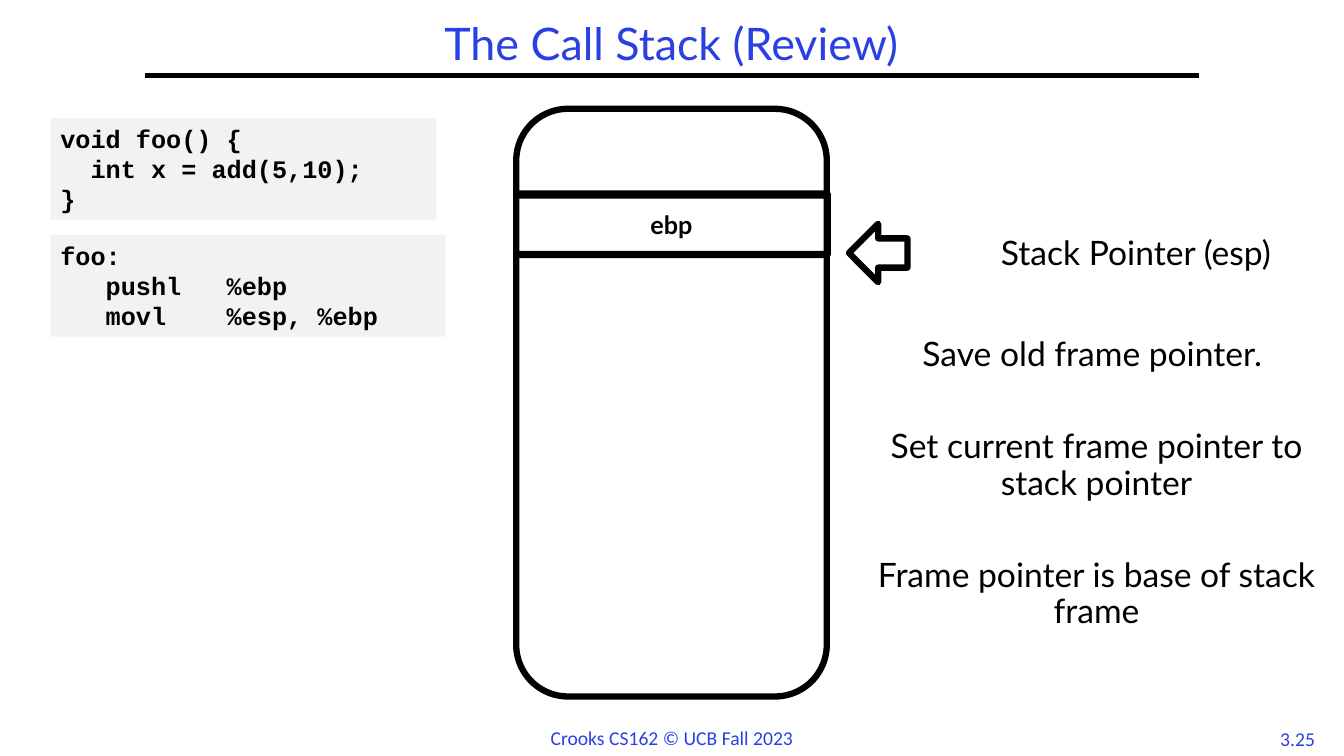
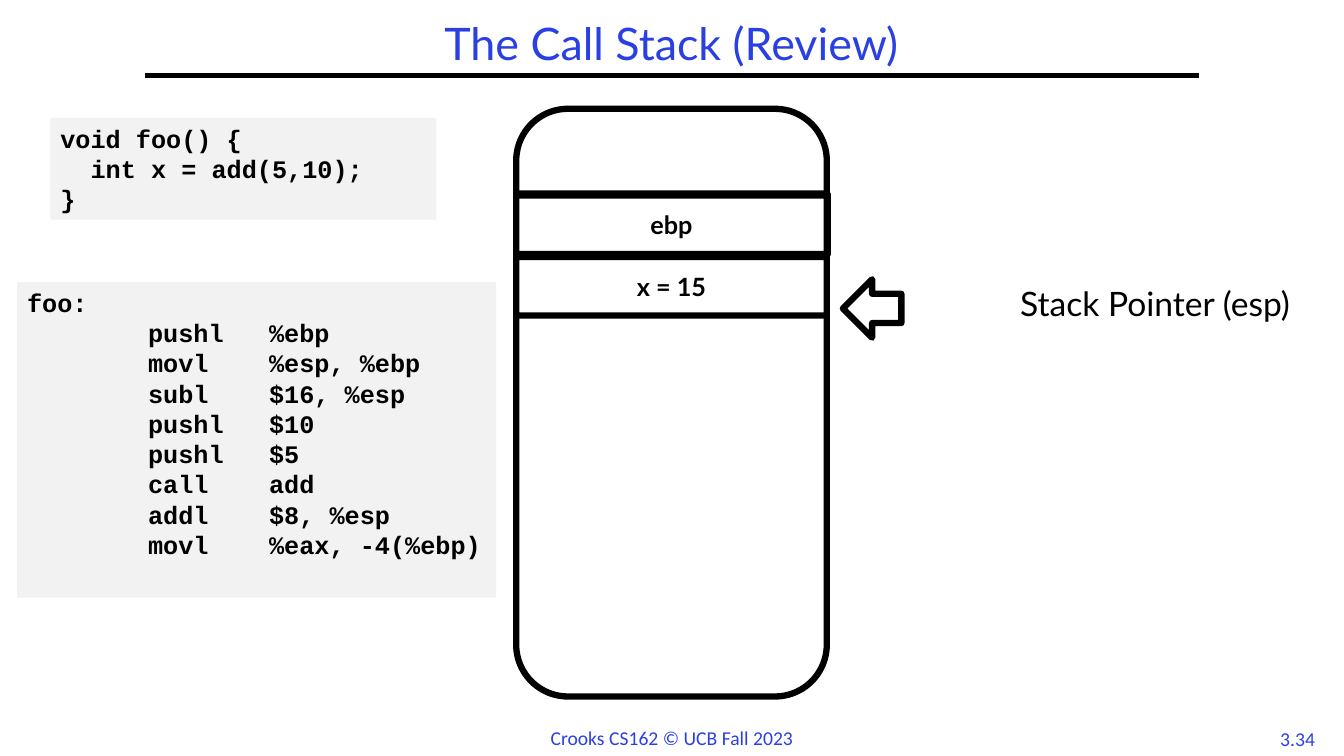
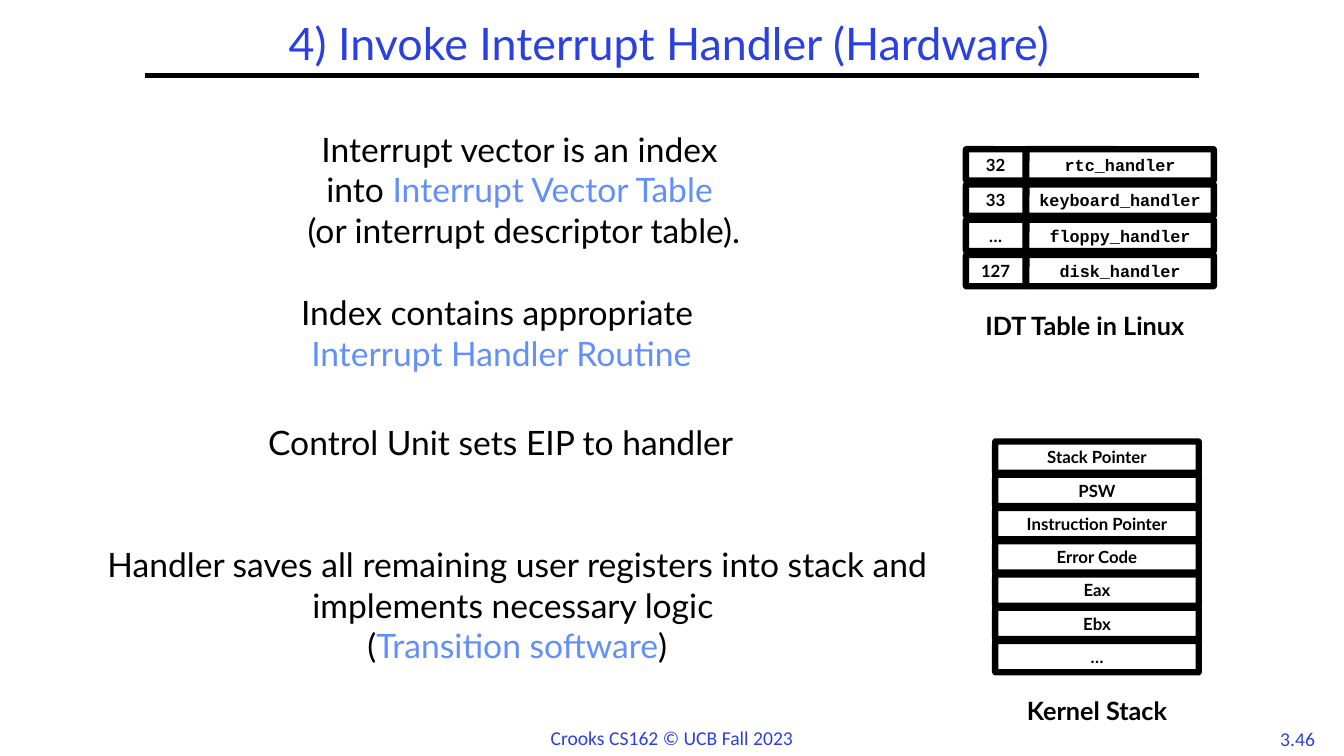
from dataclasses import dataclass

from lxml import etree
from pptx import Presentation
from pptx.dml.color import RGBColor
from pptx.enum import shapes, text
from pptx.oxml import ns
from pptx.util import Inches, Pt

BLUE, SKY, BLACK, WHITE, GREY = "2A40E2", "618FFD", "000000", "FFFFFF", "F2F2F2"
SANS, MONO, FOOTER_FONT = "Lato", "Courier New", "Calibri"
CENTER, LEFT = text.PP_ALIGN.CENTER, text.PP_ALIGN.LEFT
TOP, MIDDLE = text.MSO_ANCHOR.TOP, text.MSO_ANCHOR.MIDDLE
SHAPE = shapes.MSO_SHAPE
CELL_HEIGHT = 0.31
FOO_SOURCE = ["void foo() {", "  int x = add(5,10);", "}"]


@dataclass(frozen=True)
class Area:
    left: float
    top: float
    width: float
    height: float

    def lengths(self) -> list:
        return [Inches(n) for n in (self.left, self.top, self.width, self.height)]


@dataclass(frozen=True)
class Style:
    size: float = 24
    font: str = SANS
    color: str = BLACK
    bold: bool = False
    align: int = CENTER
    anchor: int = TOP
    wrap: bool = True
    spacing: float = 1.0
    gap: float = 0


@dataclass(frozen=True)
class Span:
    words: str
    color: str


BODY = Style()
NOTE = Style(spacing=0.9, gap=40)
TITLE = Style(size=32, color=BLUE, anchor=MIDDLE, spacing=0.9)
FOOTER = Style(size=14, font=FOOTER_FONT, color=BLUE, wrap=False)
CODE = Style(size=18, font=MONO, bold=True, align=LEFT)
FRAME = Style(size=18, bold=True, anchor=MIDDLE)
CAPTION = Style(size=18, bold=True)
CELL = Style(size=12, bold=True, anchor=MIDDLE)
HANDLER = Style(size=12, font=MONO, bold=True, anchor=MIDDLE)


def rgb(color: str) -> RGBColor:
    return RGBColor.from_string(color)


def apply(target, values: dict) -> None:
    for name, value in values.items():
        setattr(target, name, value)


def write(box, lines: list, style: Style) -> None:
    """Fill a box, one paragraph a line; a line is a string or a list of strings and spans."""
    frame = box.text_frame
    apply(frame, {"word_wrap": style.wrap, "vertical_anchor": style.anchor})
    for index, line in enumerate(lines):
        para = frame.add_paragraph() if index else frame.paragraphs[0]
        apply(para, {"alignment": style.align, "line_spacing": style.spacing})
        if index and style.gap:
            para.space_before = Pt(style.gap)
        for part in [line] if isinstance(line, str) else line:
            span = part if isinstance(part, Span) else Span(part, style.color)
            run = para.add_run()
            run.text = span.words
            apply(run.font, {"size": Pt(style.size), "name": style.font, "bold": style.bold})
            run.font.color.rgb = rgb(span.color)


def add_text(page, area: Area, lines: list, style: Style = BODY) -> None:
    write(page.shapes.add_textbox(*area.lengths()), lines, style)


def add_filled(page, kind, area: Area, fill: str = WHITE, outlined: bool = True):
    shape = page.shapes.add_shape(kind, *area.lengths())
    shape.shadow.inherit = False
    shape.fill.solid()
    shape.fill.fore_color.rgb = rgb(fill)
    if outlined:
        shape.line.width = Pt(4.5)
        shape.line.color.rgb = rgb(BLACK)
    else:
        shape.line.fill.background()
    return shape


def add_code(page, area: Area, lines: list) -> None:
    write(add_filled(page, SHAPE.RECTANGLE, area, GREY, outlined=False), lines, CODE)


def add_cell(page, area: Area, label: str = "", style: Style = CELL) -> None:
    cell = add_filled(page, SHAPE.ROUNDED_RECTANGLE, area)
    cell.adjustments[0] = 0.02
    if label:
        write(cell, [label], style)


def add_column(page, first: Area, pitch: float, labels: list, style: Style = CELL) -> None:
    for row, label in enumerate(labels):
        area = Area(first.left, first.top + row * pitch, first.width, first.height)
        add_cell(page, area, label, style)


def add_page(deck, title: str, number: str, title_area: Area = Area(1.44, 0.17, 10.44, 0.58)):
    """Add a slide with the shared title, rule and footer."""
    page = deck.slides.add_slide(deck.slide_layouts[6])
    add_text(page, Area(12.58, 7.16, 0.58, 0.33), [number], FOOTER)
    rule = page.shapes.add_connector(shapes.MSO_CONNECTOR.STRAIGHT, Inches(1.44), Inches(0.75),
                                     Inches(11.89), Inches(0.75))
    rule.line.width = Pt(3)
    rule.line.color.rgb = rgb(BLACK)
    etree.SubElement(rule._element.spPr, ns.qn("a:effectLst"))
    add_text(page, Area(5.35, 7.15, 2.63, 0.34), ["Crooks CS162 © UCB Fall 2023"], FOOTER)
    add_text(page, title_area, [title], TITLE)
    return page


def add_stack_page(deck, number: str, frames: list, arrow: Area, pointer: Area):
    """Add a call stack slide whose frames run downwards from the stack's top."""
    page = add_page(deck, "The Call Stack (Review)", number)
    add_code(page, Area(0.5, 1.17, 3.83, 1.01), FOO_SOURCE)
    add_filled(page, SHAPE.ROUNDED_RECTANGLE, Area(5.12, 1.08, 3.08, 5.83))
    add_cell(page, Area(5.13, 1.92, 3.08, 0.61))
    add_column(page, Area(5.12, 1.94, 3.08, 0.58), 0.61, frames, FRAME)
    add_filled(page, SHAPE.LEFT_ARROW, arrow)
    add_text(page, pointer, ["Stack Pointer (esp)"], NOTE)
    return page


def add_frame_pointer_page(deck) -> None:
    page = add_stack_page(deck, "3.25", ["ebp"], Area(8.42, 2.22, 0.58, 0.58),
                          Area(8.89, 2.3, 4.75, 0.86))
    add_code(page, Area(0.5, 2.33, 3.92, 1.01),
             ["foo:", "   pushl   %ebp", "   movl    %esp, %ebp"])
    add_text(page, Area(8.5, 3.3, 4.75, 2.98),
             ["Save old frame pointer. ", "Set current frame pointer to stack pointer",
              "Frame pointer is base of stack frame"], NOTE)


def add_local_variable_page(deck) -> None:
    page = add_stack_page(deck, "3.34", ["ebp", "x = 15"], Area(8.36, 2.77, 0.58, 0.58),
                          Area(9.08, 2.8, 4.75, 0.86))
    add_code(page, Area(0.17, 2.8, 4.75, 3.13), [
        "foo:",
        "        pushl   %ebp",
        "        movl    %esp, %ebp",
        "        subl    $16, %esp",
        "        pushl   $10",
        "        pushl   $5",
        "        call    add",
        "        addl    $8, %esp",
        "        movl    %eax, -4(%ebp)",
    ])


def add_interrupt_page(deck) -> None:
    page = add_page(deck, "4) Invoke Interrupt Handler (Hardware)", "3.46",
                    Area(0, 0.17, 13.27, 0.58))
    add_text(page, Area(0.49, 1.23, 9.41, 1.31), [
        "Interrupt vector is an index ",
        ["into ", Span("Interrupt Vector Table ", SKY)],
        "(or interrupt descriptor table).",
    ])
    add_text(page, Area(1.43, 2.85, 7, 0.91), [
        "Index contains appropriate",
        [" ", Span("Interrupt Handler Routine", SKY)],
    ])
    add_text(page, Area(0.58, 4.14, 8.85, 0.5), ["Control Unit sets EIP to handler "])
    add_text(page, Area(0.9, 5.35, 8.46, 1.72), [
        "Handler saves all remaining user registers into stack and implements necessary logic ",
        ["(", Span("Transition software", SKY), ")"],
    ])

    add_column(page, Area(9.87, 4.38, 2.02, CELL_HEIGHT), 0.33,
               ["Stack Pointer", "PSW", "Instruction Pointer", "Error Code", "Eax", "Ebx", "…"])
    add_text(page, Area(8.31, 6.85, 5.14, 0.4), ["Kernel Stack"], CAPTION)

    add_column(page, Area(9.58, 1.48, 0.59, CELL_HEIGHT), 0.35, ["32", "33", "…", "127"])
    add_column(page, Area(10.18, 1.48, 1.86, CELL_HEIGHT), 0.35,
               ["rtc_handler", "keyboard_handler", "floppy_handler", "disk_handler"], HANDLER)
    add_text(page, Area(8.19, 3.03, 5.14, 0.4), ["IDT Table in Linux"], CAPTION)


def main() -> None:
    deck = Presentation()
    apply(deck, {"slide_width": Inches(13.33), "slide_height": Inches(7.5)})
    add_frame_pointer_page(deck)
    add_local_variable_page(deck)
    add_interrupt_page(deck)
    deck.save("out.pptx")


if __name__ == "__main__":
    main()
